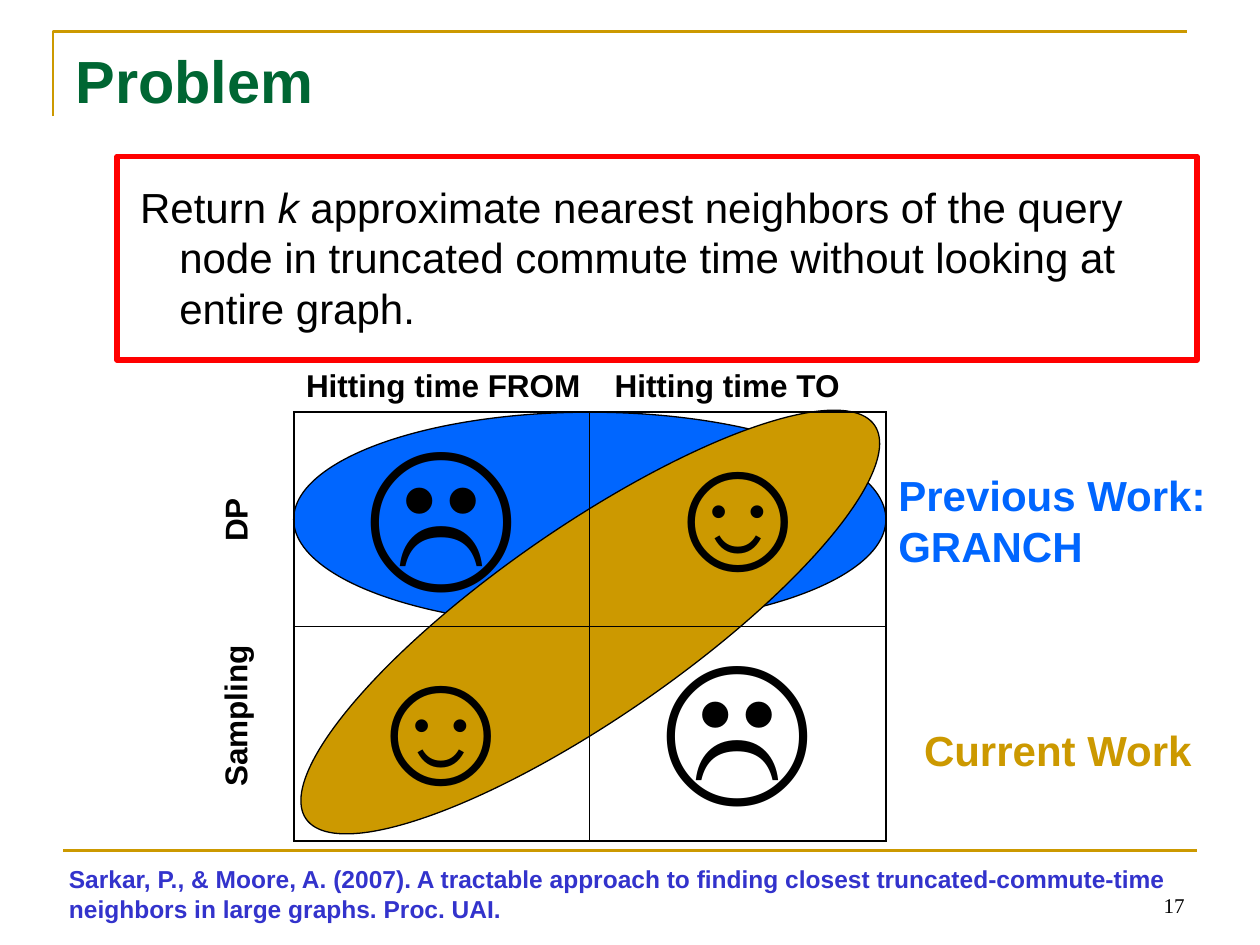
from lxml.etree import SubElement
from pptx import Presentation
from pptx.dml.color import RGBColor
from pptx.enum.shapes import MSO_CONNECTOR as Connector, MSO_SHAPE as Shape
from pptx.enum.text import MSO_ANCHOR as Anchor, MSO_AUTO_SIZE as AutoSize, PP_ALIGN as Align
from pptx.oxml.ns import qn
from pptx.util import Cm, Pt

BLACK, GOLD, BLUE, RED = "000000", "CC9900", "0066FF", "FF0000"
GREEN, INDIGO = "006633", "3333CC"

TITLE = "Problem"
STATEMENT = [
    ("Return ", False),
    ("k", True),
    (" approximate nearest neighbors of the query node in truncated commute time "
     "without looking at entire graph.", False),
]
FACES = [["☹", "☺"], ["☺", "☹"]]
GRID = (5.92, 8.31, 11.94, 8.64)
CORNER = [(1.07, 2.34), (1.07, 0.64), (23.93, 0.64)]
CITATION = ("Sarkar, P., & Moore, A. (2007). A tractable approach to finding closest "
            "truncated-commute-time\vneighbors in large graphs. Proc. UAI.")
LABELS = [
    ("Hitting time FROM", (5.92, 7.26, 6.65, 1.02), 18, BLACK, Align.LEFT, 0),
    ("Hitting time TO", (12.14, 7.26, 5.74, 1.02), 18, BLACK, Align.LEFT, 0),
    ("DP", (3.96, 9.88, 1.57, 1.02), 18, BLACK, Align.LEFT, 270),
    ("Sampling", (3.03, 13.89, 3.42, 1.02), 18, BLACK, Align.LEFT, 270),
    ("Previous Work: GRANCH", (17.86, 9.35, 7.16, 2.29), 24, BLUE, Align.LEFT, 0),
    ("Current Work", (17.25, 14.48, 8.15, 1.27), 24, GOLD, Align.CENTER, 0),
    (CITATION, (1.14, 17.3, 22.99, 1.45), 14, INDIGO, Align.LEFT, 0),
]


def color(value):
    return RGBColor.from_string(value)


def lengths(values):
    return [Cm(value) for value in values]


def style(paragraph, size, shade, bold=False, font="Arial", align=Align.LEFT):
    paragraph.alignment = align
    for span in paragraph.runs:
        span.font.name = font
        span.font.size = Pt(size)
        span.font.bold = bold
        span.font.color.rgb = color(shade)


def outline(shape, shade, width):
    shape.line.color.rgb = color(shade)
    shape.line.width = Pt(width)


def place(box, area, anchor=Anchor.TOP):
    box.left, box.top, box.width, box.height = lengths(area)
    frame = box.text_frame
    frame.word_wrap = True
    frame.auto_size = AutoSize.NONE
    frame.vertical_anchor = anchor
    return frame


def add_text(page, text, area, anchor=Anchor.TOP, **look):
    box = page.shapes.add_textbox(*lengths(area))
    frame = place(box, area, anchor)
    frame.text = text
    style(frame.paragraphs[0], **look)
    return box


def add_outlined(page, kind, area, line, width, fill=None):
    shape = page.shapes.add_shape(kind, *lengths(area))
    shape.shadow.inherit = False
    outline(shape, line, width)
    if fill:
        shape.fill.solid()
        shape.fill.fore_color.rgb = color(fill)
    else:
        shape.fill.background()
    return shape


def add_rules(page):
    start, *rest = [lengths(point) for point in CORNER]
    builder = page.shapes.build_freeform(*start)
    builder.add_line_segments(rest, close=False)
    corner = builder.convert_to_shape()
    corner.shadow.inherit = False
    corner.fill.background()
    outline(corner, GOLD, 1.5)
    rule = page.shapes.add_connector(
        Connector.STRAIGHT, *lengths((1.27, 17.15, 24.13, 17.15)))
    SubElement(rule._element.spPr, qn("a:effectLst"))
    outline(rule, GOLD, 1.5)


def add_statement(page):
    frame = place(page.placeholders[1], (1.3, 3.53, 22.86, 13.44))
    paragraph = frame.paragraphs[0]
    for text, italic in STATEMENT:
        span = paragraph.add_run()
        span.text = text
        span.font.italic = italic
    style(paragraph, 24, BLACK)
    properties = paragraph._p.get_or_add_pPr()
    properties.set("marL", str(Cm(2.06)))
    properties.set("indent", str(Cm(-0.79)))
    SubElement(properties, qn("a:buNone"))


def set_borders(cell, row, column):
    outer = {"lnL": column == 0, "lnR": column == 1, "lnT": row == 0, "lnB": row == 1}
    properties = cell._tc.get_or_add_tcPr()
    for side, is_outer in outer.items():
        width = Pt(1.08 if is_outer else 0.45)
        line = SubElement(properties, qn(f"a:{side}"), w=str(width))
        fill = SubElement(line, qn("a:solidFill"))
        SubElement(fill, qn("a:srgbClr"), val=BLACK)


def add_faces(page):
    table = page.shapes.add_table(2, 2, *lengths(GRID)).table
    table.first_row = table.horz_banding = False
    for row, faces in enumerate(FACES):
        for column, face in enumerate(faces):
            cell = table.cell(row, column)
            cell.text = face
            style(cell.text_frame.paragraphs[0], 96, BLACK, align=Align.CENTER)
            set_borders(cell, row, column)
            cell.fill.background()


def main():
    deck = Presentation()
    deck.slide_width, deck.slide_height = lengths((25.4, 19.05))
    page = deck.slides.add_slide(deck.slide_layouts[1])
    add_rules(page)

    frame = place(page.shapes.title, (1.27, 0.76, 22.86, 3.18))
    frame.text = TITLE
    style(frame.paragraphs[0], 34, GREEN, bold=True)
    add_statement(page)
    add_outlined(page, Shape.RECTANGLE, (2.36, 3.15, 21.77, 4.11), RED, 3)

    left, top, width, height = GRID
    add_outlined(page, Shape.OVAL, (left, top, width, height / 2), BLACK, 0.75, BLUE)
    current = add_outlined(page, Shape.OVAL, (4.93, 10.62, 13.94, 3.84), BLACK, 0.75, GOLD)
    current.rotation = 325.3
    add_faces(page)

    for text, area, size, shade, align, angle in LABELS:
        box = add_text(page, text, area, size=size, shade=shade, bold=True, align=align)
        box.rotation = angle
    add_text(page, "17", (18.21, 17.35, 5.92, 1.27), Anchor.BOTTOM, size=12,
             shade=BLACK, font="Times New Roman", align=Align.RIGHT)
    deck.save("out.pptx")


if __name__ == "__main__":
    main()
